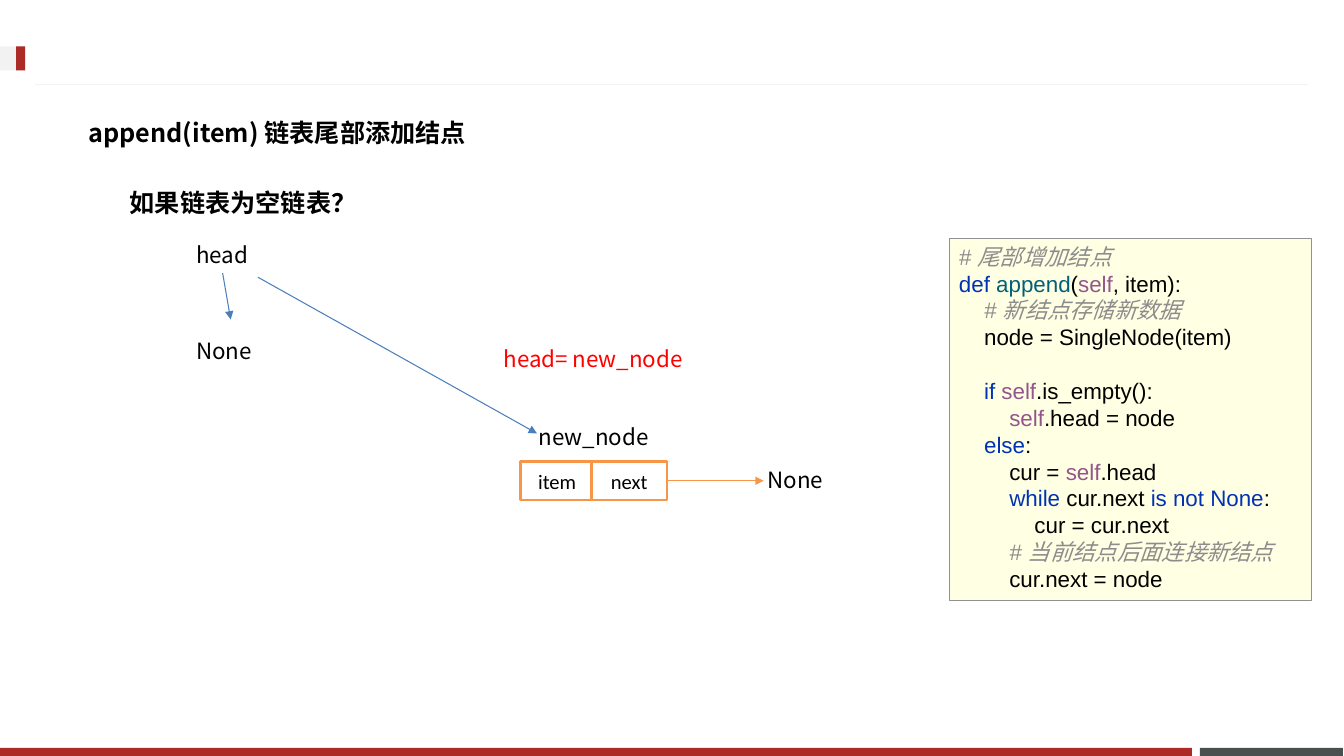
"""Build the slide on appending a node to an empty linked list."""
from typing import NamedTuple

from lxml.etree import SubElement
from pptx import Presentation
from pptx.dml.color import RGBColor
from pptx.enum.shapes import MSO_CONNECTOR as CONN, MSO_SHAPE as SHAPE
from pptx.enum.text import MSO_ANCHOR as ANCHOR, PP_ALIGN as ALIGN
from pptx.oxml.ns import qn
from pptx.util import Inches, Pt

BLACK = RGBColor(0x00, 0x00, 0x00)
WHITE = RGBColor(0xFF, 0xFF, 0xFF)
RED = RGBColor(0xFF, 0x00, 0x00)
BRAND_RED = RGBColor(0xAD, 0x2B, 0x26)
SLATE = RGBColor(0x49, 0x50, 0x4F)
PALE = RGBColor(0xF2, 0xF2, 0xF2)
BLUE = RGBColor(0x4B, 0x7E, 0xBC)
ORANGE = RGBColor(0xF7, 0x96, 0x46)
CODE_FILL = RGBColor(0xFF, 0xFF, 0xE4)
CODE_LINE = RGBColor(0x91, 0x91, 0x91)
COMMENT = RGBColor(0x8C, 0x8C, 0x8C)
KEYWORD = RGBColor(0x00, 0x33, 0xB3)
FUNCTION = RGBColor(0x00, 0x62, 0x7A)
SELF = RGBColor(0x94, 0x55, 0x8D)

CJK = "Noto Sans CJK SC"
CODE_PITCH = Pt(19.2)
CODE_INDENT = 0.25


class Box(NamedTuple):
    left: float
    top: float
    width: float
    height: float


class Label(NamedTuple):
    text: str
    box: Box
    size: float = 16
    color: RGBColor = BLACK
    bold: bool = False


class Arrow(NamedTuple):
    start: tuple[float, float]
    end: tuple[float, float]
    color: RGBColor
    head: bool = True


class Token(NamedTuple):
    text: str
    color: RGBColor = BLACK


class CodeLine(NamedTuple):
    level: int
    tokens: list[Token]
    gap: bool = False


BARS = [
    (Box(11.91, 7.42, 1.42, 0.08), SLATE),
    (Box(0, 7.42, 11.83, 0.08), BRAND_RED),
    (Box(0, 0.46, 0.25, 0.24), PALE),
    (Box(0.16, 0.46, 0.09, 0.24), BRAND_RED),
]
TITLE = Label("append(item) 链表尾部添加结点", Box(0.78, 1.03, 11.76, 0.57), 18, bold=True)
LABELS = [
    Label("如果链表为空链表？", Box(1.19, 1.81, 2.47, 0.4), 18, bold=True),
    Label("head", Box(1.85, 2.34, 0.74, 0.37)),
    Label("None", Box(1.85, 3.3, 0.79, 0.37)),
    Label("None", Box(7.52, 4.58, 0.79, 0.37)),
    Label("new_node", Box(5.25, 4.15, 1.3, 0.37)),
    Label("head= new_node", Box(4.9, 3.38, 2.07, 0.37), color=RED),
]
NODE_CELLS = [
    ("item", Box(5.17, 4.58, 0.72, 0.38)),
    ("next", Box(5.87, 4.58, 0.75, 0.38)),
]
LINES = [
    Arrow((12.98, 0.84), (0.35, 0.84), PALE, head=False),
    Arrow((2.21, 2.71), (2.29, 3.17), BLUE),
    Arrow((2.56, 2.75), (5.33, 4.3), BLUE),
]
NEXT_ARROW = Arrow((6.62, 4.77), (7.58, 4.77), ORANGE)
CODE_BOX = Box(9.42, 2.36, 3.6, 3.6)
SELF_TOKEN = Token("self", SELF)
CODE = [
    CodeLine(0, [Token("# 尾部增加结点", COMMENT)]),
    CodeLine(0, [Token("def ", KEYWORD), Token("append", FUNCTION), Token("("),
                 SELF_TOKEN, Token(", item):")]),
    CodeLine(1, [Token("# 新结点存储新数据", COMMENT)]),
    CodeLine(1, [Token("node = SingleNode(item)")]),
    CodeLine(1, [Token("if ", KEYWORD), SELF_TOKEN, Token(".is_empty():")], gap=True),
    CodeLine(2, [SELF_TOKEN, Token(".head = node")]),
    CodeLine(1, [Token("else", KEYWORD), Token(":")]),
    CodeLine(2, [Token("cur = "), SELF_TOKEN, Token(".head")]),
    CodeLine(2, [Token("while ", KEYWORD), Token("cur.next "),
                 Token("is not None", KEYWORD), Token(":")]),
    CodeLine(3, [Token("cur = cur.next")]),
    CodeLine(2, [Token("# 当前结点后面连接新结点", COMMENT)]),
    CodeLine(2, [Token("cur.next = node")]),
]


def inches(box: Box) -> list[int]:
    """Convert a box to slide lengths."""
    return [Inches(v) for v in box]


def add_run(p, text: str, size: float, color: RGBColor, font: str,
            bold: bool = False, italic: bool = False) -> None:
    """Add one formatted run to a paragraph."""
    r = p.add_run()
    r.text = text
    f = r.font
    f.name, f.size, f.bold, f.italic = font, Pt(size), bold, italic
    f.color.rgb = color
    SubElement(r._r.get_or_add_rPr(), qn("a:ea"), typeface=CJK)


def add_rect(s, box: Box, fill: RGBColor, line: RGBColor | None = None, width: float = 0):
    """Add a flat rectangle, outlined when a line colour is given."""
    sp = s.shapes.add_shape(SHAPE.RECTANGLE, *inches(box))
    sp.shadow.inherit = False
    sp.fill.solid()
    sp.fill.fore_color.rgb = fill
    if line is None:
        sp.line.fill.background()
    else:
        sp.line.color.rgb = line
        sp.line.width = Pt(width)
    return sp


def add_line(s, arrow: Arrow):
    """Add a straight line with an optional arrowhead."""
    ends = [Inches(v) for v in arrow.start + arrow.end]
    cn = s.shapes.add_connector(CONN.STRAIGHT, *ends)
    cn.line.color.rgb = arrow.color
    cn.line.width = Pt(0.75)
    if arrow.head:
        SubElement(cn.line._get_or_add_ln(), qn("a:tailEnd"), type="triangle")
    SubElement(cn._element.spPr, qn("a:effectLst"))
    return cn


def add_label(s, label: Label) -> None:
    """Add a one-line text box."""
    tf = s.shapes.add_textbox(*inches(label.box)).text_frame
    tf.word_wrap = False
    add_run(tf.paragraphs[0], label.text, label.size, label.color, CJK, label.bold)


def set_title(s) -> None:
    """Place and format the title."""
    sp = s.shapes.title
    sp.left, sp.top, sp.width, sp.height = inches(TITLE.box)
    tf = sp.text_frame
    tf.vertical_anchor = ANCHOR.MIDDLE
    p = tf.paragraphs[0]
    p.alignment = ALIGN.LEFT
    add_run(p, TITLE.text, TITLE.size, TITLE.color, CJK, TITLE.bold)


def add_cell(s, text: str, box: Box):
    """Add one field of the linked-list node."""
    sp = add_rect(s, box, WHITE, ORANGE, 2)
    tf = sp.text_frame
    tf.vertical_anchor = ANCHOR.MIDDLE
    p = tf.paragraphs[0]
    p.alignment = ALIGN.CENTER
    add_run(p, text, 14.7, BLACK, "Calibri")
    return sp


def add_code(s) -> None:
    """Add the highlighted code panel."""
    tf = add_rect(s, CODE_BOX, CODE_FILL, CODE_LINE, 0.25).text_frame
    tf.word_wrap = True
    tf.vertical_anchor = ANCHOR.TOP
    for i, line in enumerate(CODE):
        p = tf.add_paragraph() if i else tf.paragraphs[0]
        p.alignment = ALIGN.LEFT
        p.line_spacing = CODE_PITCH
        p.space_before = CODE_PITCH if line.gap else Pt(0)
        p._p.get_or_add_pPr().set("marL", str(Inches(CODE_INDENT * line.level)))
        for token in line.tokens:
            add_run(p, token.text, 16, token.color, "Arial", italic=token.color == COMMENT)


def main() -> None:
    """Build and save the slide."""
    prs = Presentation()
    prs.slide_width, prs.slide_height = Inches(13.34), Inches(7.5)
    s = prs.slides.add_slide(prs.slide_layouts[5])
    for box, color in BARS:
        add_rect(s, box, color)
    set_title(s)
    for label in LABELS:
        add_label(s, label)
    for line in LINES:
        add_line(s, line)
    cells = [add_cell(s, text, box) for text, box in NODE_CELLS]
    add_line(s, NEXT_ARROW).begin_connect(cells[-1], 3)
    add_code(s)
    prs.save("out.pptx")


if __name__ == "__main__":
    main()
